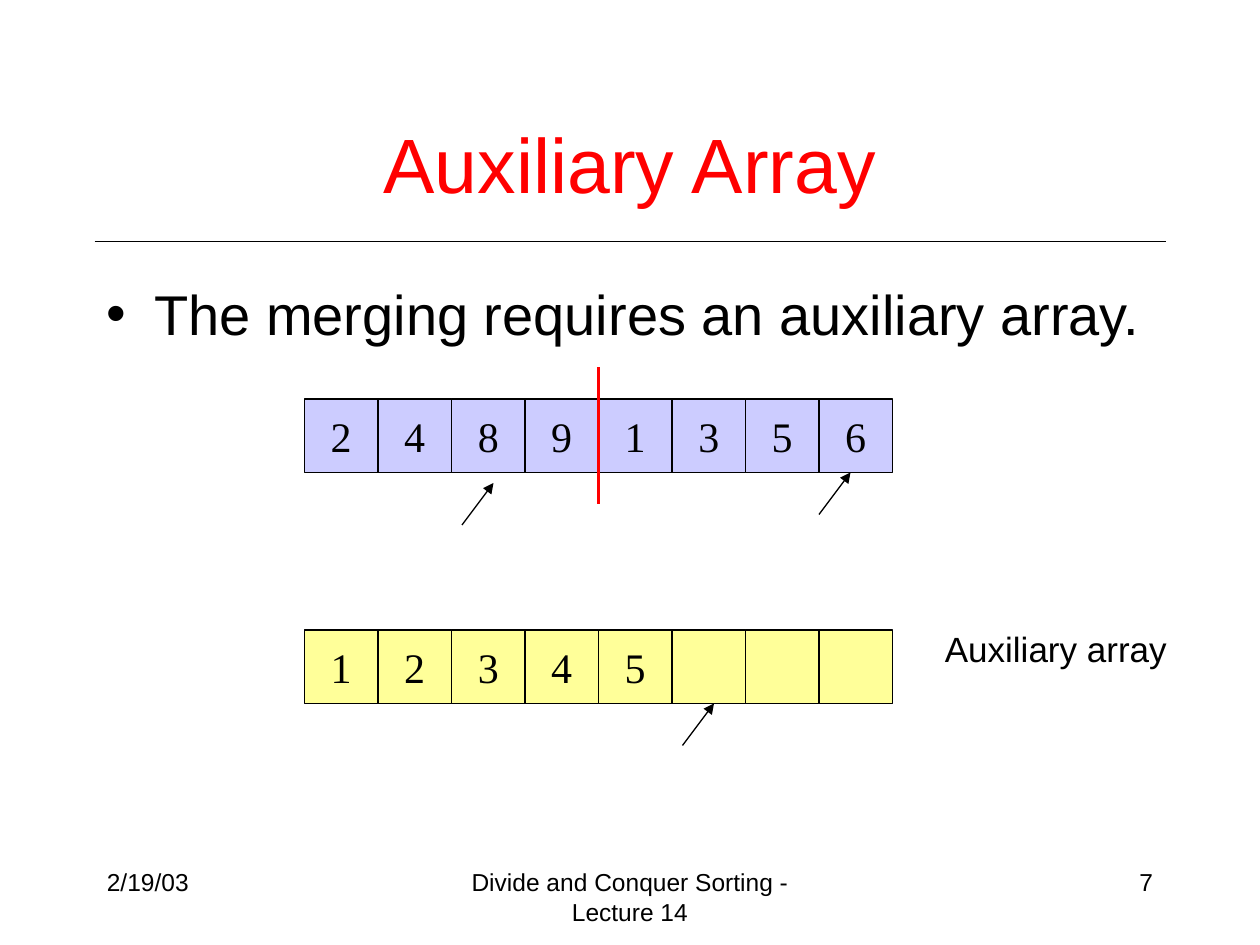
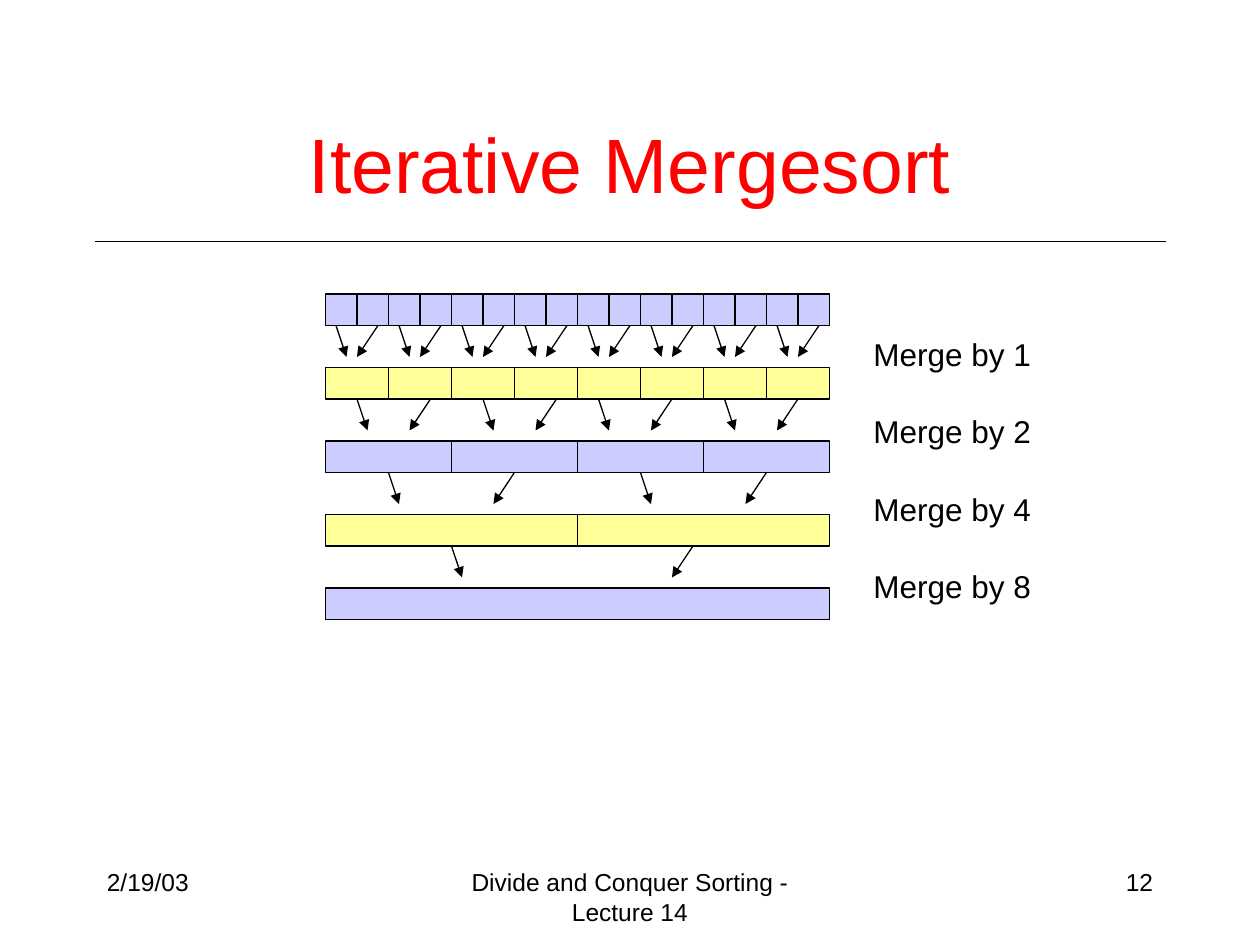
from dataclasses import dataclass
from typing import Optional

from lxml import etree
from pptx import Presentation
from pptx import util as u
from pptx.dml.color import RGBColor
from pptx.enum import shapes, text
from pptx.oxml import ns

BLACK = "000000"
RED = "FF0000"
LAVENDER = "CCCCFF"
YELLOW = "FFFF99"
SANS = "Arial"
SERIF = "Times New Roman"
ALIGN = text.PP_ALIGN
BOTTOM = 2
TITLE_ONLY = 5


@dataclass(frozen=True)
class Box:
    left: float
    top: float
    width: float
    height: float

    def lengths(self) -> tuple:
        return tuple(u.Pt(n) for n in (self.left, self.top, self.width, self.height))


@dataclass(frozen=True)
class Label:
    box: Box
    lines: tuple
    size: float
    align: int = ALIGN.LEFT
    wrap: bool = True
    gap: float = 0


@dataclass(frozen=True)
class Line:
    start: tuple
    end: tuple
    color: str = BLACK
    weight: float = 0.75
    arrow: bool = False


@dataclass(frozen=True)
class Row:
    left: float
    top: float
    cell_width: float
    cell_height: float
    fill: str
    values: tuple


@dataclass(frozen=True)
class MergeLevel:
    fill: str
    arrow_offsets: tuple


DATE_BOX = Box(54, 492, 150, 36)
LECTURE_BOX = Box(246, 492, 228, 36)
NUMBER_BOX = Box(516, 492, 150, 36)
TITLE_BOX = Box(54, 48, 612, 90)
TITLE_RULE = Line((54, 138), (666, 138))

ARRAY_ROWS = (
    Row(174, 228, 42, 42, LAVENDER, tuple("24891356")),
    Row(174, 360, 42, 42, YELLOW, tuple("12345") + ("",) * 3),
)
DIVIDER = Line((342, 210), (342, 288), RED, 2.25)
POINTER_TIPS = ((282, 276), (486, 270), (408, 402))

MERGE_LEVELS = (
    MergeLevel(LAVENDER, ((6, 30),) * 8),
    MergeLevel(YELLOW, ((18, 60),) * 2 + ((12, 54),) * 2),
    MergeLevel(LAVENDER, ((36, 108),) * 2),
    MergeLevel(YELLOW, ((72, 210),)),
    MergeLevel(LAVENDER, ()),
)
MERGE_LEFT, MERGE_TOP, MERGE_PITCH = 186, 168, 42
MERGE_WIDTH, MERGE_HEIGHT = 288, 18
ARROW_SHIFTS = (6, -12)
ARROW_DROP = 18


def rgb(value: str) -> RGBColor:
    return RGBColor.from_string(value)


def add_run(paragraph, content: str, size: float, font: str = SANS, color: str = BLACK) -> None:
    run = paragraph.add_run()
    run.text = content
    run.font.size = u.Pt(size)
    run.font.name = font
    run.font.color.rgb = rgb(color)


def add_label(slide, label: Label):
    shape = slide.shapes.add_textbox(*label.box.lengths())
    frame = shape.text_frame
    frame.word_wrap = label.wrap
    for index, content in enumerate(label.lines):
        paragraph = frame.add_paragraph() if index else frame.paragraphs[0]
        paragraph.alignment = label.align
        if index:
            paragraph.space_before = u.Pt(label.gap)
        add_run(paragraph, content, label.size)
    return shape


def add_bullet(paragraph, indent: float, space_before: float) -> None:
    paragraph.space_before = u.Pt(space_before)
    properties = paragraph._p.get_or_add_pPr()
    properties.set("marL", str(u.Pt(indent)))
    properties.set("indent", str(u.Pt(-indent)))
    etree.SubElement(properties, ns.qn("a:buFont")).set("typeface", SANS)
    etree.SubElement(properties, ns.qn("a:buChar")).set("char", "•")


def add_line(slide, line: Line):
    points = (u.Pt(n) for n in line.start + line.end)
    connector = slide.shapes.add_connector(shapes.MSO_CONNECTOR.STRAIGHT, *points)
    connector.line.color.rgb = rgb(line.color)
    connector.line.width = u.Pt(line.weight)
    if line.arrow:
        outline = connector.line._get_or_add_ln()
        etree.SubElement(outline, ns.qn("a:tailEnd")).set("type", "triangle")
    etree.SubElement(connector._element.spPr, ns.qn("a:effectLst"))
    return connector


def add_cell(slide, box: Box, fill: str, value: str):
    shape = slide.shapes.add_shape(shapes.MSO_SHAPE.RECTANGLE, *box.lengths())
    shape.shadow.inherit = False
    shape.fill.solid()
    shape.fill.fore_color.rgb = rgb(fill)
    shape.line.color.rgb = rgb(BLACK)
    shape.line.width = u.Pt(0.75)
    if value:
        frame = shape.text_frame
        frame.word_wrap = False
        frame.vertical_anchor = text.MSO_ANCHOR.MIDDLE
        frame.paragraphs[0].alignment = ALIGN.CENTER
        add_run(frame.paragraphs[0], value, 24, SERIF)
    return shape


def add_row(slide, row: Row) -> list:
    return [
        add_cell(
            slide,
            Box(row.left + index * row.cell_width, row.top, row.cell_width, row.cell_height),
            row.fill,
            value,
        )
        for index, value in enumerate(row.values)
    ]


def add_merge_arrows(slide, level: MergeLevel, cells: list, cell_width: float, bottom: float) -> None:
    for pair, offsets in enumerate(level.arrow_offsets):
        pair_left = MERGE_LEFT + 2 * pair * cell_width
        for side, (offset, shift) in enumerate(zip(offsets, ARROW_SHIFTS)):
            x = pair_left + offset
            arrow = add_line(slide, Line((x, bottom), (x + shift, bottom + ARROW_DROP), arrow=True))
            if offset == (side + 0.5) * cell_width:
                arrow.begin_connect(cells[2 * pair + side], BOTTOM)


def add_frame(presentation, title: str, number: int):
    slide = presentation.slides.add_slide(presentation.slide_layouts[TITLE_ONLY])
    heading = slide.shapes.title
    heading.left, heading.top, heading.width, heading.height = TITLE_BOX.lengths()
    frame = heading.text_frame
    frame.auto_size = text.MSO_AUTO_SIZE.NONE
    frame.vertical_anchor = text.MSO_ANCHOR.MIDDLE
    frame.paragraphs[0].alignment = ALIGN.CENTER
    add_run(frame.paragraphs[0], title, 44, color=RED)
    add_line(slide, TITLE_RULE)
    for box, content, align in (
        (DATE_BOX, "2/19/03", ALIGN.LEFT),
        (LECTURE_BOX, "Divide and Conquer Sorting - Lecture 14", ALIGN.CENTER),
        (NUMBER_BOX, str(number), ALIGN.RIGHT),
    ):
        add_label(slide, Label(box, (content,), 14, align))
    return slide


def build_auxiliary_array(presentation) -> None:
    slide = add_frame(presentation, "Auxiliary Array", 7)
    body = add_label(
        slide, Label(Box(54, 156, 612, 324), ("The merging requires an auxiliary array.",), 32)
    )
    add_bullet(body.text_frame.paragraphs[0], 27, 8)
    for row in ARRAY_ROWS:
        add_row(slide, row)
    add_line(slide, DIVIDER)
    for x, y in POINTER_TIPS:
        add_line(slide, Line((x - 18, y + 24), (x, y), arrow=True))
    add_label(slide, Label(Box(532.8, 355, 142, 32), ("Auxiliary array",), 20, wrap=False))


def build_iterative_mergesort(presentation) -> None:
    slide = add_frame(presentation, "Iterative Mergesort", 12)
    for depth, level in enumerate(MERGE_LEVELS):
        count = 2 ** (len(MERGE_LEVELS) - 1 - depth)
        cell_width = MERGE_WIDTH / count
        top = MERGE_TOP + depth * MERGE_PITCH
        row = Row(MERGE_LEFT, top, cell_width, MERGE_HEIGHT, level.fill, ("",) * count)
        cells = add_row(slide, row)
        add_merge_arrows(slide, level, cells, cell_width, top + MERGE_HEIGHT)
    steps = tuple(f"Merge by {2 ** power}" for power in range(4))
    add_label(slide, Label(Box(492, 188, 105, 158), steps, 18, wrap=False, gap=22.5))


def main() -> None:
    presentation = Presentation()
    presentation.slide_width = u.Pt(720)
    presentation.slide_height = u.Pt(540)
    build_auxiliary_array(presentation)
    build_iterative_mergesort(presentation)
    presentation.save("out.pptx")


if __name__ == "__main__":
    main()
